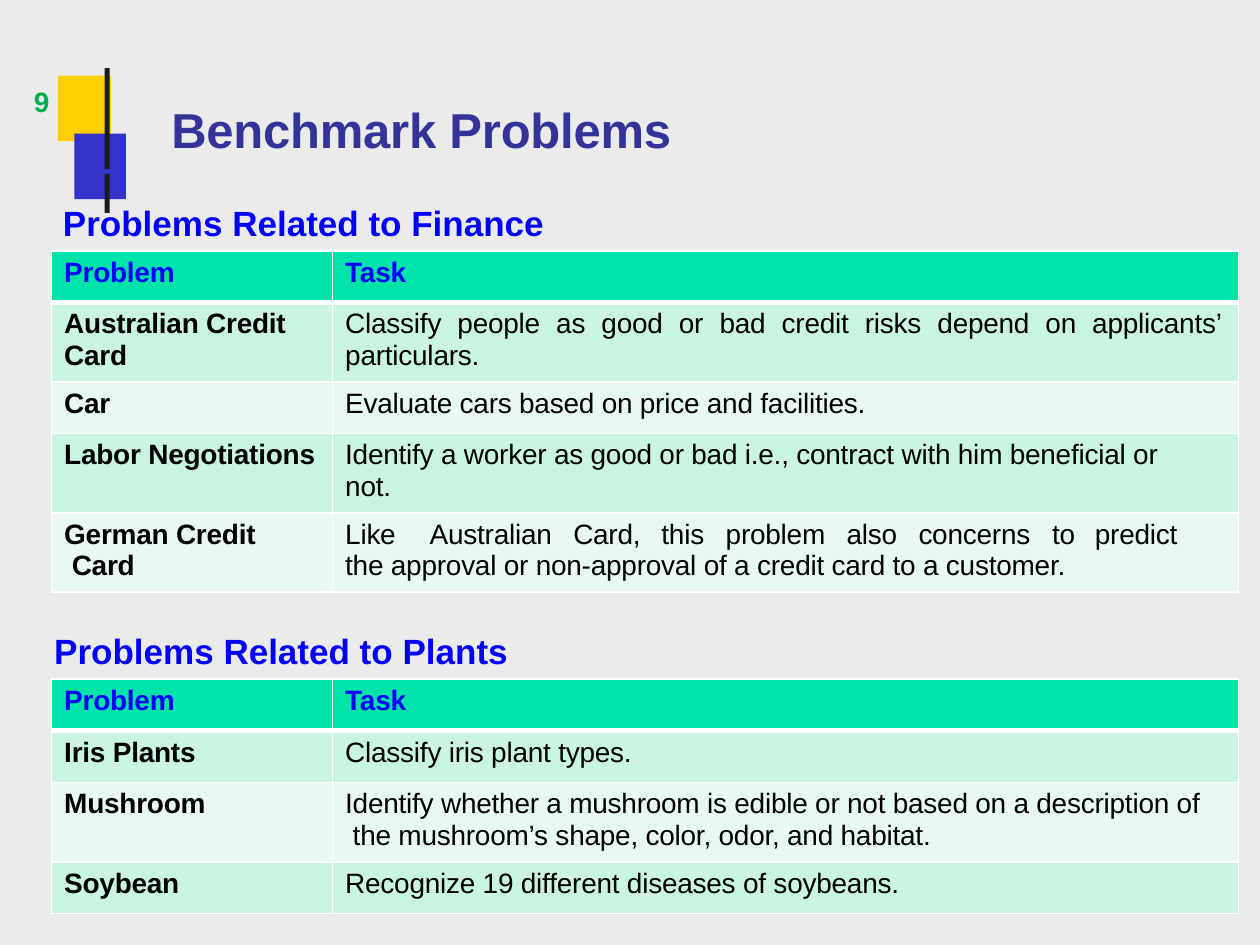
from lxml import etree
from pptx import Presentation
from pptx.dml.color import RGBColor
from pptx.enum.shapes import MSO_SHAPE
from pptx.enum.text import PP_ALIGN
from pptx.oxml.ns import qn
from pptx.util import Inches, Pt

RECTANGLE = MSO_SHAPE.RECTANGLE
LEFT = PP_ALIGN.LEFT
JUSTIFY = PP_ALIGN.JUSTIFY

FONT = "Arial"
BACKGROUND = RGBColor(0xEB, 0xEB, 0xEB)
YELLOW = RGBColor(0xFF, 0xCF, 0x00)
INDIGO = RGBColor(0x33, 0x33, 0xCC)
CHARCOAL = RGBColor(0x1C, 0x1C, 0x1C)
TITLE_BLUE = RGBColor(0x33, 0x33, 0x99)
HEADING_BLUE = RGBColor(0x00, 0x00, 0xFF)
NUMBER_GREEN = RGBColor(0x00, 0xAF, 0x50)
BLACK = RGBColor(0x00, 0x00, 0x00)
HEADER_FILL = RGBColor(0x00, 0xE3, 0xA8)
BAND_FILLS = (RGBColor(0xCA, 0xF5, 0xE0), RGBColor(0xE7, 0xF9, 0xF0))

COLUMN_WIDTHS = (2.23, 7.19)
SINGLE_ROW = 0.41
DOUBLE_ROW = 0.63
TAB_STOPS = (0.67, 1.81, 2.51, 3.02, 3.98, 4.55, 5.61, 5.95)

HEADER = (SINGLE_ROW, "Problem", "Task")
FINANCE_ROWS = [
    HEADER,
    (DOUBLE_ROW, "Australian Credit\vCard",
     "Classify people as good or bad credit risks depend on applicants’ particulars."),
    (SINGLE_ROW, "Car", "Evaluate cars based on price and facilities."),
    (DOUBLE_ROW, "Labor Negotiations",
     "Identify a worker as good or bad i.e., contract with him beneficial or\vnot."),
    (DOUBLE_ROW, "German Credit\v Card",
     "Like\tAustralian\tCard,\tthis\tproblem\talso\tconcerns\tto\tpredict\v"
     "the approval or non-approval of a credit card to a customer."),
]
PLANT_ROWS = [
    HEADER,
    (SINGLE_ROW, "Iris Plants", "Classify iris plant types."),
    (DOUBLE_ROW, "Mushroom",
     "Identify whether a mushroom is edible or not based on a description of\v"
     " the mushroom’s shape, color, odor, and habitat."),
    (SINGLE_ROW, "Soybean", "Recognize 19 different diseases of soybeans."),
]


def format_runs(paragraph, size, color, bold, spacing=0):
    for run in paragraph.runs:
        run.font.name = FONT
        run.font.size = Pt(size)
        run.font.bold = bold
        run.font.color.rgb = color
        run.font._element.set("spc", str(spacing))


def add_label(slide, box, text, size, color, spacing=0):
    shape = slide.shapes.add_textbox(*map(Inches, box))
    frame = shape.text_frame
    frame.word_wrap = True
    frame.margin_left = frame.margin_right = frame.margin_bottom = 0
    frame.margin_top = Inches(0.01)
    frame.text = text
    paragraph = frame.paragraphs[0]
    paragraph.space_before = Pt(1)
    paragraph._p.get_or_add_pPr().set("marL", str(Inches(0.01)))
    format_runs(paragraph, size, color, True, spacing)


def add_block(slide, box, color):
    shape = slide.shapes.add_shape(RECTANGLE, *map(Inches, box))
    shape.shadow.inherit = False
    shape.fill.solid()
    shape.fill.fore_color.rgb = color
    shape.line.fill.background()


def add_emblem(slide, left, top):
    parts = [
        (0, 0.06, 0.42, 0.52, YELLOW),
        (0.13, 0.52, 0.41, 0.52, INDIGO),
        (0.37, 0, 0.04, 0.8, CHARCOAL),
        (0.37, 0.84, 0.04, 0.31, CHARCOAL),
    ]
    for x, y, width, height, color in parts:
        add_block(slide, (left + x, top + y, width, height), color)


def add_borders(cell, top_width, bottom_width):
    properties = cell._tc.get_or_add_tcPr()
    sides = (("a:lnL", 1), ("a:lnR", 1), ("a:lnT", top_width), ("a:lnB", bottom_width))
    for tag, width in sides:
        line = etree.SubElement(properties, qn(tag), w=str(Pt(width)))
        fill = etree.SubElement(line, qn("a:solidFill"))
        etree.SubElement(fill, qn("a:srgbClr"), val="FFFFFF")


def add_tab_stops(paragraph):
    tabs = etree.SubElement(paragraph._p.get_or_add_pPr(), qn("a:tabLst"))
    for position in TAB_STOPS:
        etree.SubElement(tabs, qn("a:tab"), pos=str(Inches(position)), algn="l")


def fill_cell(cell, text, row, column):
    is_header = row == 0
    add_borders(cell, 3 if row == 1 else 1, 3 if is_header else 1)
    cell.fill.solid()
    cell.fill.fore_color.rgb = HEADER_FILL if is_header else BAND_FILLS[(row - 1) % 2]
    cell.margin_left = cell.margin_right = cell.margin_bottom = 0
    cell.margin_top = Inches(0.05)
    cell.text_frame.text = text
    paragraph = cell.text_frame.paragraphs[0]
    paragraph.space_before = Pt(3.2)
    paragraph.alignment = JUSTIFY if text.startswith("Classify people") else LEFT
    properties = paragraph._p.get_or_add_pPr()
    properties.set("marL", str(Inches(0.1)))
    if paragraph.alignment == JUSTIFY:
        properties.set("marR", str(Inches(0.13)))
    if "\t" in text:
        add_tab_stops(paragraph)
    format_runs(paragraph, 16, HEADING_BLUE if is_header else BLACK,
                is_header or column == 0, -10)


def add_problem_table(slide, left, top, rows):
    width = sum(COLUMN_WIDTHS)
    height = sum(row[0] for row in rows)
    table = slide.shapes.add_table(
        len(rows), len(COLUMN_WIDTHS),
        Inches(left), Inches(top), Inches(width), Inches(height)).table
    for column, column_width in zip(table.columns, COLUMN_WIDTHS):
        column.width = Inches(column_width)
    for row, (row_height, *texts) in enumerate(rows):
        table.rows[row].height = Inches(row_height)
        for column, text in enumerate(texts):
            fill_cell(table.cell(row, column), text, row, column)


def main():
    presentation = Presentation()
    presentation.slide_width = Inches(10)
    presentation.slide_height = Inches(7.5)
    slide = presentation.slides.add_slide(presentation.slide_layouts[6])
    slide.background.fill.solid()
    slide.background.fill.fore_color.rgb = BACKGROUND

    add_emblem(slide, 0.46, 0.54)
    add_label(slide, (1.35, 0.78, 4.03, 0.49), "Benchmark Problems", 28, TITLE_BLUE, -10)
    add_label(slide, (0.49, 1.59, 3.84, 0.36), "Problems Related to Finance", 20, HEADING_BLUE)
    add_problem_table(slide, 0.41, 1.99, FINANCE_ROWS)
    add_label(slide, (0.42, 4.99, 3.62, 0.36), "Problems Related to Plants", 20, HEADING_BLUE)
    add_problem_table(slide, 0.41, 5.39, PLANT_ROWS)
    add_label(slide, (0.26, 0.66, 0.15, 0.29), "9", 16, NUMBER_GREEN, -10)
    presentation.save("out.pptx")


if __name__ == "__main__":
    main()
